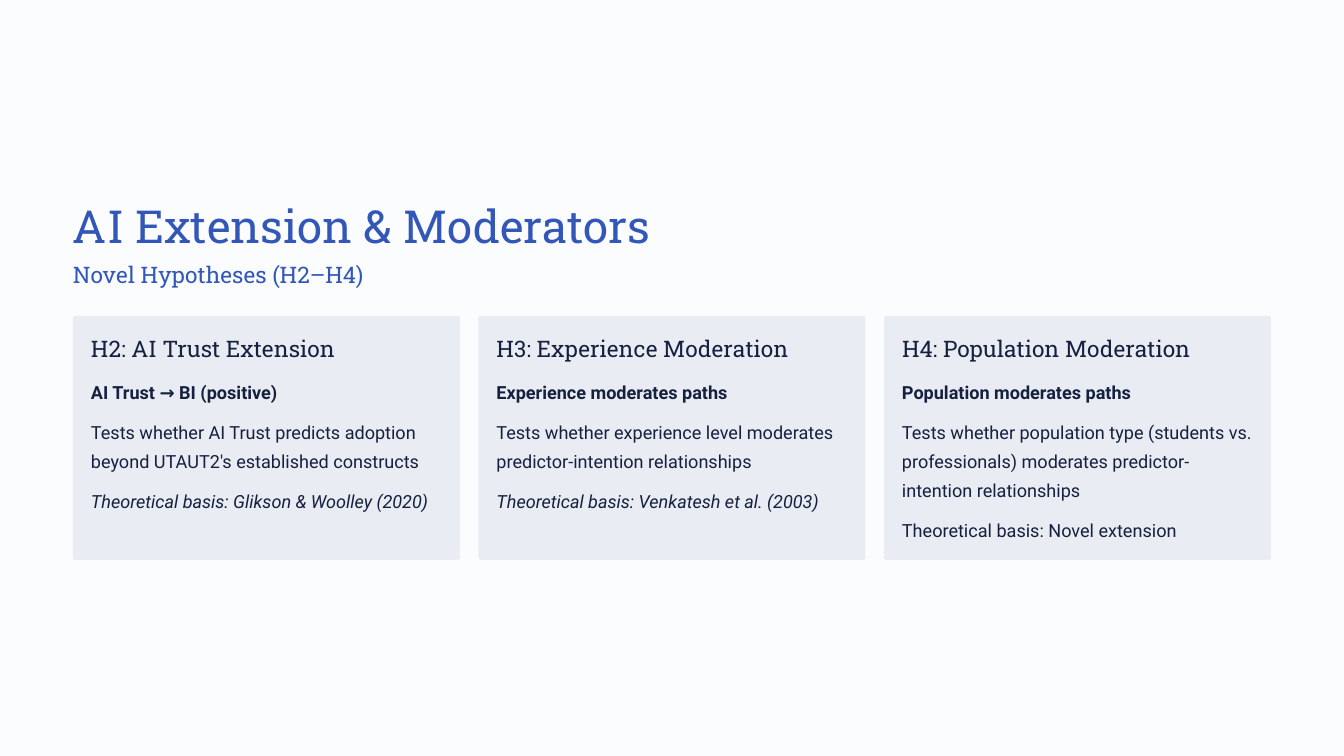
from pptx import Presentation
from pptx.dml.color import RGBColor
from pptx.enum.shapes import MSO_SHAPE
from pptx.enum.text import MSO_ANCHOR, MSO_AUTO_SIZE, PP_ALIGN
from pptx.util import Emu, Pt

EMU_PER_PX = 914400 / 84

BACKGROUND = RGBColor(0xFB, 0xFC, 0xFE)
BLUE = RGBColor(0x32, 0x57, 0xB8)
NAVY = RGBColor(0x15, 0x21, 0x3F)
CARD_FILL = RGBColor(0xE9, 0xEC, 0xF2)

# Page grid in px
LEFT, CONTENT_WIDTH = 73, 1198
CARD_TOP, CARD_WIDTH, CARD_HEIGHT = 316, 387, 244
CARD_PADDING, LINE_HEIGHT, LINE_GAP = 18, 29, 11

# Text formats: font values and line spacing
TITLE = {"font": {"name": "Roboto Slab", "size": Pt(39)}, "color": BLUE, "spacing": Pt(48.5)}
SUBTITLE = {"font": {"name": "Roboto Slab", "size": Pt(19.5)}, "color": BLUE, "spacing": Pt(24)}
HEADING = {**SUBTITLE, "color": NAVY}
BODY = {"font": {"name": "Roboto", "size": Pt(15.5)}, "color": NAVY, "spacing": Pt(25)}
CLAIM = {**BODY, "font": {**BODY["font"], "bold": True}}
CITATION = {**BODY, "font": {**BODY["font"], "italic": True}}

# Each card: (text, format, width, lines)
CARDS = [
    [
        ("H2: AI Trust Extension", HEADING, 243, 1),
        ("AI Trust → BI (positive)", CLAIM, 351, 1),
        ("Tests whether AI Trust predicts adoption beyond UTAUT2's established constructs",
         BODY, 351, 2),
        ("Theoretical basis: Glikson & Woolley (2020)", CITATION, 351, 1),
    ],
    [
        ("H3: Experience Moderation", HEADING, 291, 1),
        ("Experience moderates paths", CLAIM, 351, 1),
        ("Tests whether experience level moderates predictor-intention relationships",
         BODY, 351, 2),
        ("Theoretical basis: Venkatesh et al. (2003)", CITATION, 351, 1),
    ],
    [
        ("H4: Population Moderation", HEADING, 288, 1),
        ("Population moderates paths", CLAIM, 351, 1),
        ("Tests whether population type (students vs. professionals) moderates "
         "predictor-intention relationships", BODY, 351, 3),
        ("Theoretical basis: Novel extension", BODY, 351, 1),
    ],
]


def px(*lengths):
    return [Emu(round(length * EMU_PER_PX)) for length in lengths]


def write(holder, text, style, wrap=False):
    frame = holder.text_frame
    frame_format = {
        "margin_left": 0, "margin_top": 0, "margin_right": 0, "margin_bottom": 0,
        "auto_size": MSO_AUTO_SIZE.NONE, "vertical_anchor": MSO_ANCHOR.TOP,
        "word_wrap": wrap,
    }
    for attribute, value in frame_format.items():
        setattr(frame, attribute, value)
    frame.text = text
    paragraph = frame.paragraphs[0]
    paragraph.alignment = PP_ALIGN.LEFT
    paragraph.line_spacing = style["spacing"]
    paragraph.space_before = Pt(0)
    font = paragraph.runs[0].font
    for attribute, value in style["font"].items():
        setattr(font, attribute, value)
    font.color.rgb = style["color"]


def fill_placeholder(placeholder, box, text, style):
    for attribute, value in zip(("left", "top", "width", "height"), px(*box)):
        setattr(placeholder, attribute, value)
    write(placeholder, text, style)


def add_card(slide, left, entries):
    panel = slide.shapes.add_shape(
        MSO_SHAPE.ROUNDED_RECTANGLE, *px(left, CARD_TOP, CARD_WIDTH, CARD_HEIGHT))
    panel.adjustments[0] = 0.01
    panel.shadow.inherit = False
    panel.fill.solid()
    panel.fill.fore_color.rgb = CARD_FILL
    panel.line.fill.background()

    # Entries stack with an equal gap
    top = CARD_TOP + CARD_PADDING
    for text, style, width, lines in entries:
        height = lines * LINE_HEIGHT
        entry = slide.shapes.add_textbox(*px(left + CARD_PADDING, top, width, height))
        write(entry, text, style, wrap=lines > 1)
        top += height + LINE_GAP


def main():
    presentation = Presentation()
    presentation.slide_width, presentation.slide_height = px(1344, 756)
    slide = presentation.slides.add_slide(presentation.slide_layouts[0])
    slide.background.fill.solid()
    slide.background.fill.fore_color.rgb = BACKGROUND

    # Title and subtitle
    fill_placeholder(slide.shapes.title, (LEFT, 196, 590, 57),
                     "AI Extension & Moderators", TITLE)
    fill_placeholder(slide.placeholders[1], (LEFT, 260, 300, 29),
                     "Novel Hypotheses (H2–H4)", SUBTITLE)

    # Hypothesis cards, spread over the content width
    card_pitch = (CONTENT_WIDTH - CARD_WIDTH) / (len(CARDS) - 1)
    for index, entries in enumerate(CARDS):
        add_card(slide, LEFT + index * card_pitch, entries)

    presentation.save("out.pptx")


if __name__ == "__main__":
    main()
